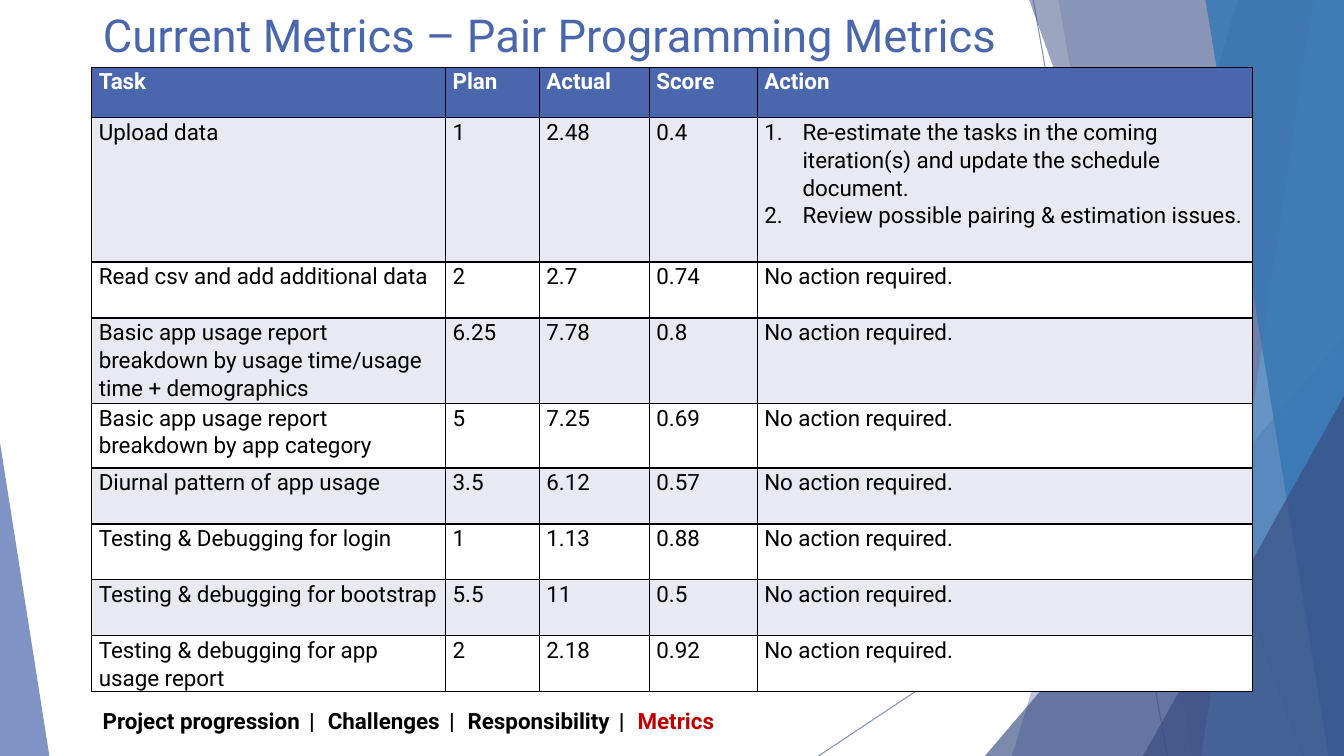
from lxml import etree
from pptx import Presentation, util as u
from pptx.dml.color import RGBColor
from pptx.enum import shapes, text
from pptx.oxml import ns

BLUE = RGBColor(0x4A, 0x66, 0xAC)
NAVY = RGBColor(0x38, 0x4C, 0x81)
SKY = RGBColor(0x62, 0x9D, 0xD1)
OCEAN = RGBColor(0x34, 0x77, 0xB2)
PALE = RGBColor(0xE9, 0xEA, 0xF1)
WHITE = RGBColor(0xFF, 0xFF, 0xFF)
BLACK = RGBColor(0, 0, 0)
RED = RGBColor(0xC0, 0, 0)

FONT = "Roboto"
WIDTH, HEIGHT = u.Inches(13.333), u.Inches(7.5)

# Percent of the slide's width and height
COLUMNS = [26.33, 6.98, 8.18, 8.03, 36.83]
ROWS = [6.67, 19.07, 7.4, 11.33, 8.53] + [7.4] * 4

NO_ACTION = ["No action required."]
HEADINGS = ["Task", "Plan", "Actual", "Score", "Action"]
TASKS = [
    ("Upload data", "1", "2.48", "0.4",
     ["Re-estimate the tasks in the coming iteration(s) and update the schedule document.",
      "Review possible pairing & estimation issues."]),
    ("Read csv and add additional data", "2", "2.7", "0.74", NO_ACTION),
    ("Basic app usage report breakdown by usage time/usage time + demographics",
     "6.25", "7.78", "0.8", NO_ACTION),
    ("Basic app usage report breakdown by app category", "5", "7.25", "0.69", NO_ACTION),
    ("Diurnal pattern of app usage", "3.5", "6.12", "0.57", NO_ACTION),
    ("Testing & Debugging for login", "1", "1.13", "0.88", NO_ACTION),
    ("Testing & debugging for bootstrap", "5.5", "11", "0.5", NO_ACTION),
    ("Testing & debugging for app usage report", "2", "2.18", "0.92", NO_ACTION),
]


def across(percent):
    return round(WIDTH * percent / 100)


def down(percent):
    return round(HEIGHT * percent / 100)


def set_opacity(owner, percent):
    for color in owner.iter(ns.qn("a:srgbClr")):
        etree.SubElement(color, ns.qn("a:alpha"), val=str(percent * 1000))


def paint(facet, color, opacity):
    facet.shadow.inherit = False
    facet.fill.solid()
    facet.fill.fore_color.rgb = color
    facet.line.fill.background()
    set_opacity(facet._element.spPr, opacity)


def add_ray(slide, x1, y1, x2, y2):
    ray = slide.shapes.add_connector(
        shapes.MSO_CONNECTOR.STRAIGHT, across(x1), down(y1), across(x2), down(y2))
    ray.line.color.rgb = BLUE
    ray.line.width = u.Pt(0.75)
    properties = ray._element.spPr
    set_opacity(properties, 70)
    etree.SubElement(properties, ns.qn("a:effectLst"))


def add_band(slide, top_x, bottom_x, color, opacity):
    """Slanted band that reaches the slide's right edge."""
    outline = slide.shapes.build_freeform(across(top_x), 0)
    outline.add_line_segments([(WIDTH, 0), (WIDTH, HEIGHT), (across(bottom_x), HEIGHT)])
    paint(outline.convert_to_shape(), color, opacity)


def add_corner(slide, left, top, right, apex, color, opacity):
    """Triangle that stands on the slide's bottom edge."""
    corner = slide.shapes.add_shape(
        shapes.MSO_SHAPE.ISOSCELES_TRIANGLE, across(left), down(top),
        across(right - left), down(100 - top))
    corner.adjustments[0] = apex
    paint(corner, color, opacity)


def add_run(paragraph, wording, size, color, bold=False):
    run = paragraph.add_run()
    run.text = wording
    run.font.name = FONT
    run.font.size = u.Pt(size)
    run.font.bold = bold
    run.font.color.rgb = color
    return run


def number(paragraph):
    properties = paragraph._p.get_or_add_pPr()
    properties.set("marL", str(u.Inches(0.38)))
    properties.set("indent", str(-u.Inches(0.38)))
    etree.SubElement(properties, ns.qn("a:buFont"), typeface="+mj-lt")
    etree.SubElement(properties, ns.qn("a:buAutoNum"), type="arabicPeriod")


def add_borders(cell):
    properties = cell._tc.get_or_add_tcPr()
    for side in ("lnL", "lnR", "lnT", "lnB"):
        border = etree.SubElement(properties, ns.qn("a:" + side), w=str(u.Pt(1)))
        fill = etree.SubElement(border, ns.qn("a:solidFill"))
        etree.SubElement(fill, ns.qn("a:srgbClr"), val=str(BLACK))


def fill_cell(cell, lines, background, color, bold):
    cell.margin_left = cell.margin_right = u.Inches(0.07)
    cell.margin_top = cell.margin_bottom = 0
    add_borders(cell)
    cell.fill.solid()
    cell.fill.fore_color.rgb = background
    for index, line in enumerate(lines):
        frame = cell.text_frame
        paragraph = frame.add_paragraph() if index else frame.paragraphs[0]
        paragraph.line_spacing = 1.07
        if len(lines) > 1:
            number(paragraph)
        add_run(paragraph, line, 16, color, bold)


def add_metrics(slide):
    metrics = slide.shapes.add_table(
        len(ROWS), len(COLUMNS), across(6.83), down(8.93),
        across(sum(COLUMNS)), down(sum(ROWS))).table
    for column, share in zip(metrics.columns, COLUMNS):
        column.width = across(share)
    for row, share in zip(metrics.rows, ROWS):
        row.height = down(share)
    for r, entries in enumerate([HEADINGS] + TASKS):
        heading = r == 0
        background = BLUE if heading else PALE if r % 2 else WHITE
        for c, entry in enumerate(entries):
            lines = entry if isinstance(entry, list) else [entry]
            fill_cell(metrics.cell(r, c), lines, background,
                      WHITE if heading else BLACK, heading)


def set_title(slide, wording):
    title = slide.shapes.title
    title.left, title.top = across(6.9), 0
    title.width, title.height = across(86.25), down(9.2)
    title.text_frame.vertical_anchor = text.MSO_ANCHOR.MIDDLE
    heading = title.text_frame.paragraphs[0]
    heading.alignment = text.PP_ALIGN.LEFT
    add_run(heading, wording, 32.4, BLUE)


def add_trail(slide, sections, current):
    trail = slide.shapes.add_textbox(across(6.9), down(92.67), across(86.25), down(5.33))
    trail.text_frame.word_wrap = True
    trail.text_frame.vertical_anchor = text.MSO_ANCHOR.MIDDLE
    paragraph = trail.text_frame.paragraphs[0]
    for index, section in enumerate(sections):
        if index:
            separator = add_run(paragraph, " | ", 16, BLACK, True)
            separator.font._element.set("spc", "265")
        add_run(paragraph, section, 16, RED if section == current else BLACK, True)


def main():
    deck = Presentation()
    deck.slide_width, deck.slide_height = WIDTH, HEIGHT
    slide = deck.slides.add_slide(deck.slide_layouts[5])

    # Faceted backdrop
    add_ray(slide, 76.88, 0, 86.85, 100)
    add_ray(slide, 100, 53.73, 60.9, 100)
    add_band(slide, 92.1, 75.3, BLUE, 36)
    add_band(slide, 78.75, 88.73, BLUE, 20)
    add_corner(slide, 73.28, 44.4, 100, 1, NAVY, 66)
    add_band(slide, 76.58, 96.83, NAVY, 50)
    add_band(slide, 97.73, 89.4, SKY, 70)
    add_band(slide, 89.7, 98.85, OCEAN, 80)
    add_corner(slide, 85.05, 52.4, 100, 1, NAVY, 66)
    add_corner(slide, 0, 58.53, 3.68, 0, BLUE, 70)

    # Title, metrics table and section trail
    set_title(slide, "Current Metrics – Pair Programming Metrics")
    add_metrics(slide)
    add_trail(slide, ["Project progression", "Challenges", "Responsibility", "Metrics"], "Metrics")

    deck.save("out.pptx")


if __name__ == "__main__":
    main()
